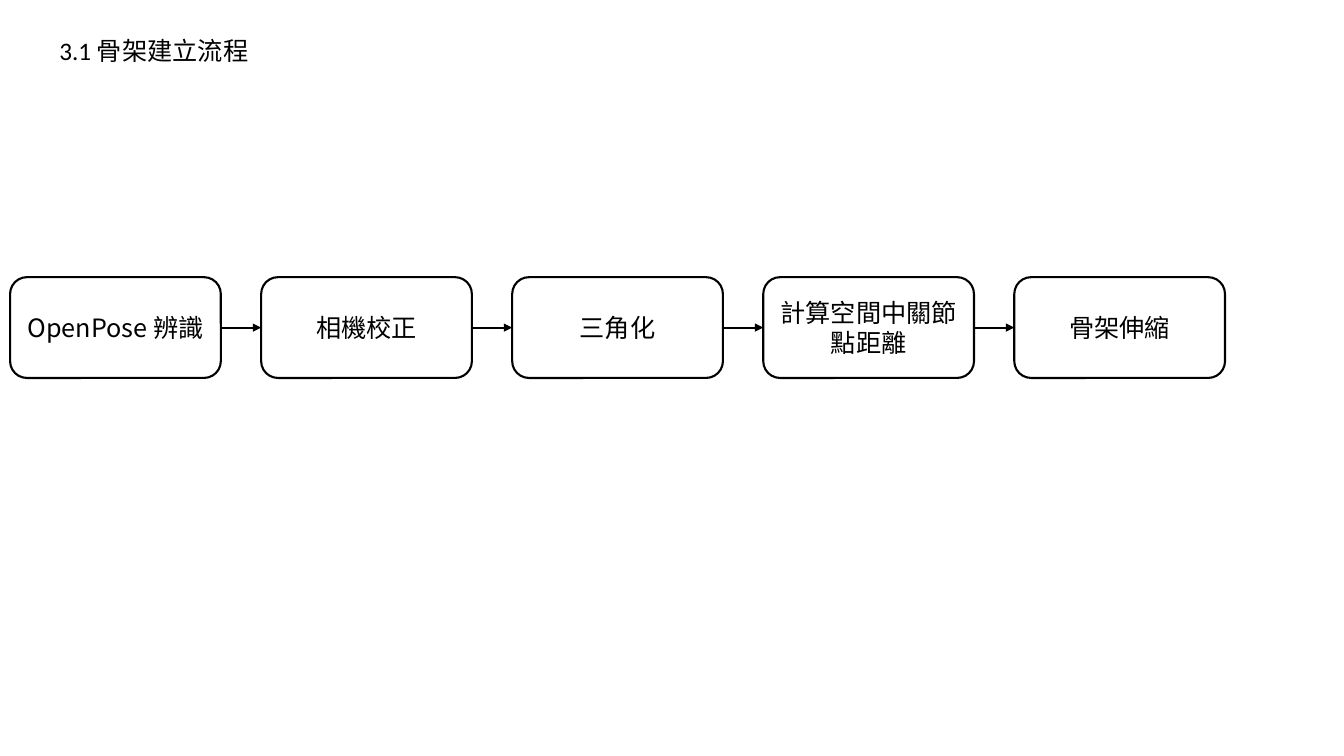
from dataclasses import dataclass
from itertools import pairwise

from lxml.etree import SubElement
from pptx import Presentation
from pptx.dml.color import RGBColor
from pptx.enum.shapes import MSO_CONNECTOR as Connector, MSO_SHAPE as Preset
from pptx.enum.text import MSO_ANCHOR as Anchor, MSO_AUTO_SIZE as AutoSize, PP_ALIGN as Align
from pptx.oxml.ns import qn
from pptx.shapes.autoshape import Shape
from pptx.shapes.shapetree import GroupShapes
from pptx.text.text import _Paragraph as Paragraph
from pptx.util import Emu, Pt

EMU_PER_PX = 9144
BLACK = "000000"
STEP_FONT = "Noto Sans CJK SC"
STEP_LEFT, STEP_TOP, STEP_WIDTH, STEP_HEIGHT = 10, 275, 209, 100
STEP_PITCH = 249
RIGHT_SIDE, LEFT_SIDE = 3, 1


@dataclass(frozen=True)
class Step:
    label: str
    left: int


LABELS = ["OpenPose 辨識", "相機校正", "三角化", "計算空間中關節點距離", "骨架伸縮"]
STEPS = [Step(label, STEP_LEFT + index * STEP_PITCH) for index, label in enumerate(LABELS)]


def px(length: int) -> Emu:
    return Emu(length * EMU_PER_PX)


def color(value: str) -> RGBColor:
    return RGBColor.from_string(value)


def add_span(para: Paragraph, text: str, font: str) -> None:
    span = para.add_run()
    span.text = text
    span.font.size = Pt(18)
    span.font.name = font
    span.font.color.rgb = color(BLACK)
    if font == STEP_FONT:
        SubElement(span.font._element, qn("a:ea"), typeface=font)


def add_step(shapes: GroupShapes, step: Step) -> Shape:
    box = shapes.add_shape(
        Preset.ROUNDED_RECTANGLE, px(step.left), px(STEP_TOP), px(STEP_WIDTH), px(STEP_HEIGHT)
    )
    box.shadow.inherit = False
    box.fill.background()
    box.line.color.rgb = color(BLACK)
    box.line.width = Pt(1.5)
    frame = box.text_frame
    frame.word_wrap = True
    frame.vertical_anchor = Anchor.MIDDLE
    para = frame.paragraphs[0]
    para.alignment = Align.CENTER
    add_span(para, step.label, STEP_FONT)
    return box


def add_arrow(shapes: GroupShapes, source: Shape, target: Shape) -> None:
    arrow = shapes.add_connector(Connector.STRAIGHT, 0, 0, 0, 0)
    arrow.begin_connect(source, RIGHT_SIDE)
    arrow.end_connect(target, LEFT_SIDE)
    arrow.line.color.rgb = color(BLACK)
    arrow.line.width = Pt(1.5)
    SubElement(arrow.line._get_or_add_ln(), qn("a:tailEnd"), type="triangle")
    SubElement(arrow._element.spPr, qn("a:effectLst"))


def main() -> None:
    deck = Presentation()
    deck.slide_width, deck.slide_height = px(1333), px(750)
    page = deck.slides.add_slide(deck.slide_layouts[6])

    title = page.shapes.add_textbox(px(49), px(30), px(209), px(40))
    title.text_frame.word_wrap = True
    title.text_frame.auto_size = AutoSize.SHAPE_TO_FIT_TEXT
    add_span(title.text_frame.paragraphs[0], "3.1 骨架建立流程", "Calibri")

    flow = page.shapes.add_group_shape().shapes
    boxes = [add_step(flow, step) for step in STEPS]
    for source, target in pairwise(boxes):
        add_arrow(flow, source, target)

    deck.save("out.pptx")


if __name__ == "__main__":
    main()
